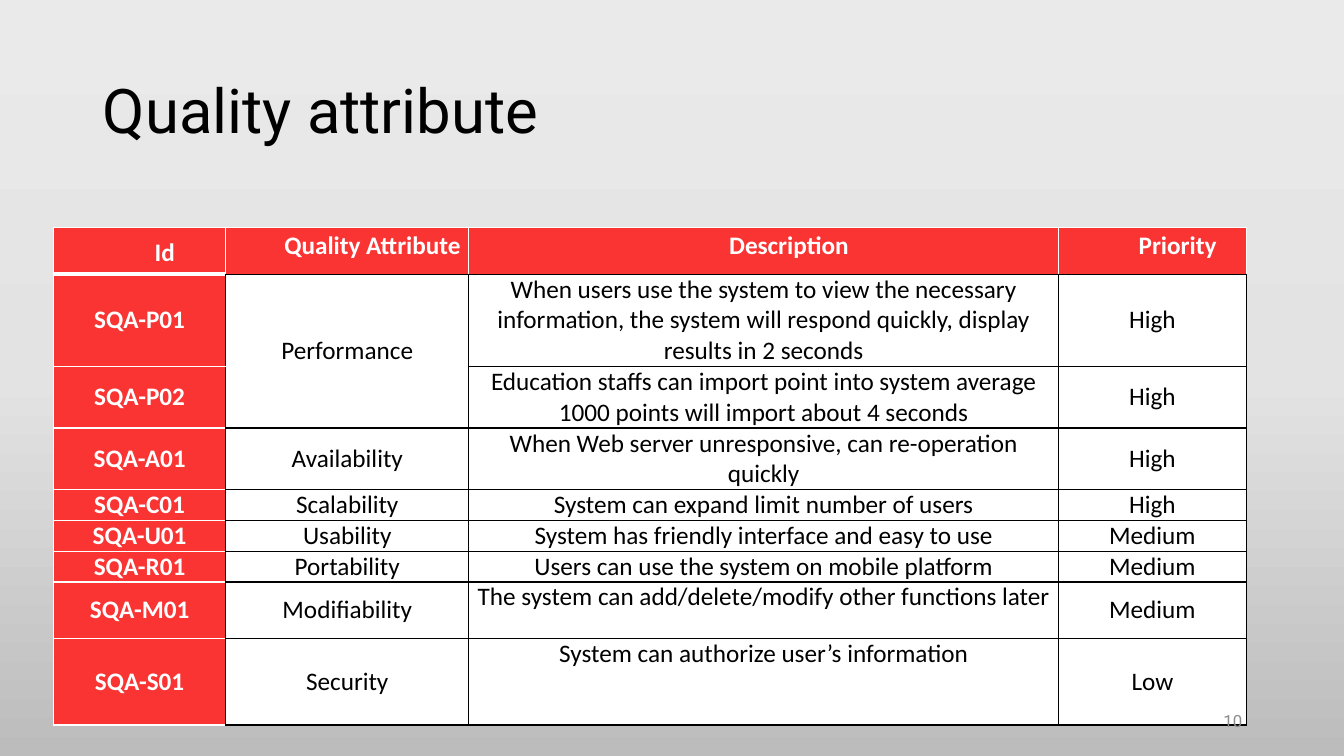
from copy import deepcopy
from typing import NamedTuple

from pptx import Presentation
from pptx.dml.color import RGBColor
from pptx.enum.text import MSO_ANCHOR, PP_ALIGN
from pptx.oxml import parse_xml
from pptx.oxml.ns import nsdecls, qn
from pptx.util import Inches, Pt

TOP, MIDDLE = MSO_ANCHOR.TOP, MSO_ANCHOR.MIDDLE
LEFT, CENTER, RIGHT = PP_ALIGN.LEFT, PP_ALIGN.CENTER, PP_ALIGN.RIGHT
RED, WHITE, BLACK, GRAY = "FA3333", "FFFFFF", "000000", "8C8C8C"
SHADES = [(0, "EBEAEA"), (0.5, "E4E3E3"), (1, "BDBCBC")]


class Row(NamedTuple):
    height: float
    texts: tuple[str, str, str, str]


class Edge(NamedTuple):
    side: str
    color: str
    width: float = 1


WIDTHS = [1.71, 2.41, 5.85, 1.86]
ROWS = [
    Row(0.46, ("Id", "Quality Attribute", "Description", "Priority")),
    Row(0.84, ("SQA-P01", "Performance",
               "When users use the system to view the necessary information, "
               "the system will respond quickly, display results in 2 seconds", "High")),
    Row(0.56, ("SQA-P02", "",
               "Education staffs can import point into system average "
               "1000 points will import about 4 seconds", "High")),
    Row(0.56, ("SQA-A01", "Availability",
               "When Web server unresponsive, can re-operation quickly", "High")),
    Row(0.28, ("SQA-C01", "Scalability", "System can expand limit number of users", "High")),
    Row(0.28, ("SQA-U01", "Usability",
               "System has friendly interface and easy to use", "Medium")),
    Row(0.28, ("SQA-R01", "Portability",
               "Users can use the system on mobile platform", "Medium")),
    Row(0.56, ("SQA-M01", "Modifiability",
               "The system can add/delete/modify other functions later", "Medium")),
    Row(0.86, ("SQA-S01", "Security", "System can authorize user’s information", "Low")),
]


def rgb(code: str) -> RGBColor:
    return RGBColor.from_string(code)


def write(frame, text: str, size: float, font: str, color: str, align, bold: bool = False):
    """Add one run and return its paragraph."""
    para = frame.paragraphs[0]
    para.alignment = align
    run = para.add_run()
    run.text = text
    run.font.size, run.font.name, run.font.bold = Pt(size), font, bold
    run.font.color.rgb = rgb(color)
    return para


def border(cell, edges: list[Edge]) -> None:
    props = cell._tc.get_or_add_tcPr()
    for spot, edge in enumerate(edges):
        props.insert(spot, parse_xml(
            f'<a:ln{edge.side} {nsdecls("a")} w="{Pt(edge.width)}"><a:solidFill>'
            f'<a:srgbClr val="{edge.color}"/></a:solidFill></a:ln{edge.side}>'))


def edges_for(row: int, col: int) -> list[Edge]:
    """Sides in the order the schema asks for: left, right, top, bottom."""
    if row == 0:
        base = Edge("B", BLACK) if col else Edge("B", WHITE, 3)
        return [Edge(side, WHITE) for side in "LRT"] + [base]
    if col == 0:
        return [Edge(side, BLACK if side == "R" else WHITE) for side in "LRTB"]
    return [Edge(side, BLACK) for side in "LRTB"]


def draw_cell(cell, text: str, row: int, col: int) -> None:
    head = row == 0
    strong = head or col == 0
    cell.margin_left = cell.margin_right = Inches(0.05)
    cell.margin_top = cell.margin_bottom = 0
    cell.vertical_anchor = TOP if col == 2 or (head and col) else MIDDLE
    cell.fill.solid()
    cell.fill.fore_color.rgb = rgb(RED if strong else WHITE)
    border(cell, edges_for(row, col))
    if not text:
        return
    para = write(cell.text_frame, text, 18, "Calibri",
                 WHITE if strong else BLACK, CENTER, strong)
    if head:
        para.line_spacing = 1.1
        para.space_before = Pt(0 if col else 6)
        props = para._p.get_or_add_pPr()
        props.set("marL", str(Inches(0.5)))
        props.set("indent", "0")


deck = Presentation()
deck.slide_width, deck.slide_height = Inches(13.33), Inches(7.5)
slide = deck.slides.add_slide(deck.slide_layouts[5])

# Background
fill = slide.background.fill
fill.gradient()
fill.gradient_angle = 270
stops = slide.element.find(".//" + qn("a:gsLst"))
stops.append(deepcopy(stops[0]))
for stop, (place, shade) in zip(fill.gradient_stops, SHADES):
    stop.position = place
    stop.color.rgb = rgb(shade)

# Title
title = slide.shapes.title
title.left, title.top = Inches(0.92), Inches(0.4)
title.width, title.height = Inches(11.5), Inches(1.45)
title.text_frame.vertical_anchor = MIDDLE
write(title.text_frame, "Quality attribute", 44, "Roboto", BLACK, LEFT).line_spacing = 0.9

# Attribute table
table = slide.shapes.add_table(
    len(ROWS), len(WIDTHS), Inches(0.53), Inches(2.26),
    Inches(sum(WIDTHS)), Inches(sum(row.height for row in ROWS))).table
for column, width in zip(table.columns, WIDTHS):
    column.width = Inches(width)
for r, row in enumerate(ROWS):
    table.rows[r].height = Inches(row.height)
    for c, text in enumerate(row.texts):
        draw_cell(table.cell(r, c), text, r, c)
table.cell(1, 1).merge(table.cell(2, 1))

# Page number
page = slide.shapes.add_textbox(Inches(9.42), Inches(6.95), Inches(3), Inches(0.4))
page.text_frame.word_wrap = True
page.text_frame.vertical_anchor = MIDDLE
write(page.text_frame, "10", 12, "Roboto", GRAY, RIGHT)

deck.save("out.pptx")
